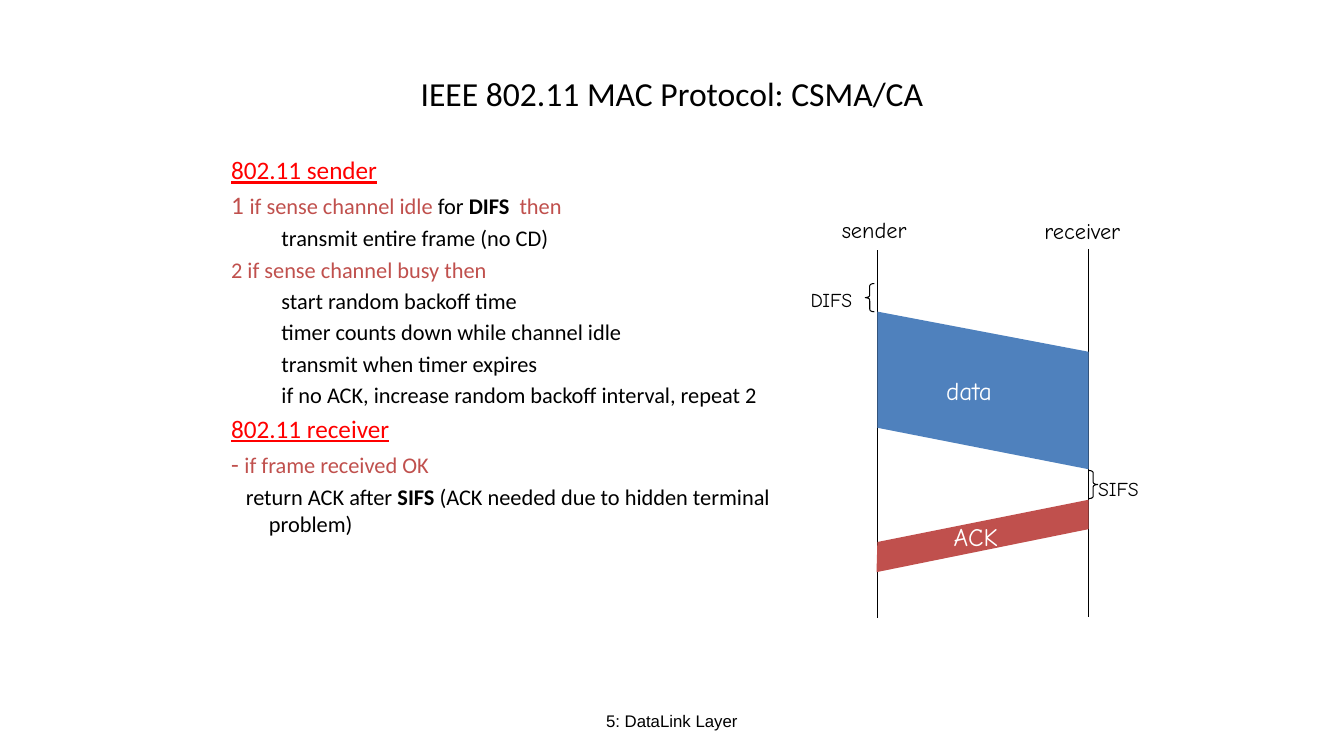
from pptx import Presentation
from pptx.dml.color import RGBColor
from pptx.enum.shapes import MSO_CONNECTOR, MSO_SHAPE
from pptx.enum.text import MSO_ANCHOR, PP_ALIGN
from pptx.oxml.ns import qn
from pptx.util import Pt
from lxml import etree

BLACK = RGBColor(0x00, 0x00, 0x00)
WHITE = RGBColor(0xFF, 0xFF, 0xFF)
RED = RGBColor(0xFF, 0x00, 0x00)
BRICK = RGBColor(0xC0, 0x50, 0x4D)
BLUE = RGBColor(0x4F, 0x81, 0xBD)


def set_font(font, name, size, color):
    font.name, font.size = name, Pt(size)
    font.color.rgb = color


def add_label(text, left, top, width, height, name, size):
    box = page.shapes.add_textbox(Pt(left), Pt(top), Pt(width), Pt(height))
    box.text_frame.word_wrap = False
    para = box.text_frame.paragraphs[0]
    para.text = text
    set_font(para.font, name, size, BLACK)
    return box


deck = Presentation()
deck.slide_width, deck.slide_height = Pt(960), Pt(540)
page = deck.slides.add_slide(deck.slide_layouts[5])

# Title
title = page.shapes.title
title.left, title.top, title.width, title.height = Pt(48), Pt(21.6), Pt(864), Pt(90)
title.text_frame.text = "IEEE 802.11 MAC Protocol: CSMA/CA"
title.text_frame.vertical_anchor = MSO_ANCHOR.MIDDLE
title_para = title.text_frame.paragraphs[0]
title_para.alignment = PP_ALIGN.CENTER
set_font(title_para.font, "Calibri", 24, BLACK)

# Protocol steps: style, then runs of (text, size, color, bold)
INDENTS = {  # style: (level, left margin, first-line indent)
    "heading": (0, 27, -27),
    "rule": (0, 27, -27),
    "step": (1, 58.3, -22.3),
    "reply": (0, 27, -16.5),
}
STEPS = [
    ("heading", [("802.11 sender", 18, RED, False)]),
    ("rule", [("1 ", 18, BRICK, False), ("if sense channel idle", 16, BRICK, False),
              (" for ", 16, BLACK, False), ("DIFS  ", 16, BLACK, True),
              ("then", 16, BRICK, False)]),
    ("step", [("transmit entire frame (no CD)", 16, BLACK, False)]),
    ("rule", [("2 if sense channel busy then", 16, BRICK, False)]),
    ("step", [("start random backoff time", 16, BLACK, False)]),
    ("step", [("timer counts down while channel idle", 16, BLACK, False)]),
    ("step", [("transmit when timer expires", 16, BLACK, False)]),
    ("step", [("if no ACK, increase random backoff interval, repeat 2", 16, BLACK, False)]),
    ("heading", [("802.11 receiver", 18, RED, False)]),
    ("rule", [("- ", 18, BRICK, False), ("if frame received OK", 16, BRICK, False)]),
    ("reply", [("return ACK after ", 16, BLACK, False), ("SIFS ", 16, BLACK, True),
               ("(ACK needed due to hidden terminal problem)", 16, BLACK, False)]),
]
steps_box = page.shapes.add_textbox(Pt(158), Pt(106.8), Pt(443.5), Pt(390))
steps_box.text_frame.word_wrap = True
for number, (style, spans) in enumerate(STEPS):
    frame = steps_box.text_frame
    para = frame.add_paragraph() if number else frame.paragraphs[0]
    level, margin, indent = INDENTS[style]
    para.level = level
    properties = para._p.get_or_add_pPr()
    properties.set("marL", str(Pt(margin)))
    properties.set("indent", str(Pt(indent)))
    if number:
        para.space_before = Pt(0.2 * spans[0][1])
    for text, size, color, bold in spans:
        span = para.add_run()
        span.text = text
        set_font(span.font, "Calibri", size, color)
        span.font.bold = bold
        span.font.underline = style == "heading"

# Footer
footer = add_label("5: DataLink Layer", 328, 500.4, 303.8, 28.8, "Arial", 12)
footer.text_frame.word_wrap = True
footer.text_frame.vertical_anchor = MSO_ANCHOR.MIDDLE
footer.text_frame.paragraphs[0].alignment = PP_ALIGN.CENTER

# Time lines of sender and receiver
SENDER_X, RECEIVER_X = 626.7, 777.6
for x, top in [(SENDER_X, 178.6), (RECEIVER_X, 177.8)]:
    line = page.shapes.add_connector(
        MSO_CONNECTOR.STRAIGHT, Pt(x), Pt(top), Pt(x), Pt(top + 262.8))
    line.line.color.rgb = BLACK
    line.line.width = Pt(0.75)
    etree.SubElement(line._element.spPr, qn("a:effectLst"))

# Frames in flight: text, color, right inset, corner points
FRAMES = [
    ("data", BLUE, 20, [(SENDER_X, 222.6), (RECEIVER_X, 251.3),
                        (RECEIVER_X, 335.2), (SENDER_X, 305.6)]),
    ("ACK", BRICK, 10, [(SENDER_X, 387.2), (RECEIVER_X, 357),
                        (RECEIVER_X, 378), (SENDER_X - 0.6, 408.7)]),
]
for text, color, inset, corners in FRAMES:
    points = [(Pt(x), Pt(y)) for x, y in corners]
    builder = page.shapes.build_freeform(*points[0])
    builder.add_line_segments(points[1:], close=True)
    band = builder.convert_to_shape()
    band.shadow.inherit = False
    band.fill.solid()
    band.fill.fore_color.rgb = color
    band.line.fill.background()
    frame = band.text_frame
    frame.margin_left, frame.margin_right = Pt(0), Pt(inset)
    frame.vertical_anchor = MSO_ANCHOR.MIDDLE
    para = frame.paragraphs[0]
    para.text = text
    para.alignment = PP_ALIGN.CENTER
    set_font(para.font, "Comic Neue", 18, WHITE)

# Braces marking the waiting times
for kind, left, top in [(MSO_SHAPE.LEFT_BRACE, 618, 202.5),
                        (MSO_SHAPE.RIGHT_BRACE, RECEIVER_X, 336)]:
    brace = page.shapes.add_shape(kind, Pt(left), Pt(top), Pt(6.5), Pt(20.2))
    brace.adjustments[0] = 0.25
    brace.shadow.inherit = False
    brace.fill.background()
    brace.line.color.rgb = BLACK
    brace.line.width = Pt(0.75)

# Diagram labels
for text, left, top, width, height, size in [
    ("sender", 594.2, 150.8, 65.5, 26.6, 16),
    ("receiver", 739, 151.5, 77, 26.6, 16),
    ("DIFS", 572, 202.4, 50.4, 23.8, 14),
    ("SIFS", 777.3, 337, 50.4, 23.8, 14),
]:
    add_label(text, left, top, width, height, "Comic Neue", size)

deck.save("out.pptx")
